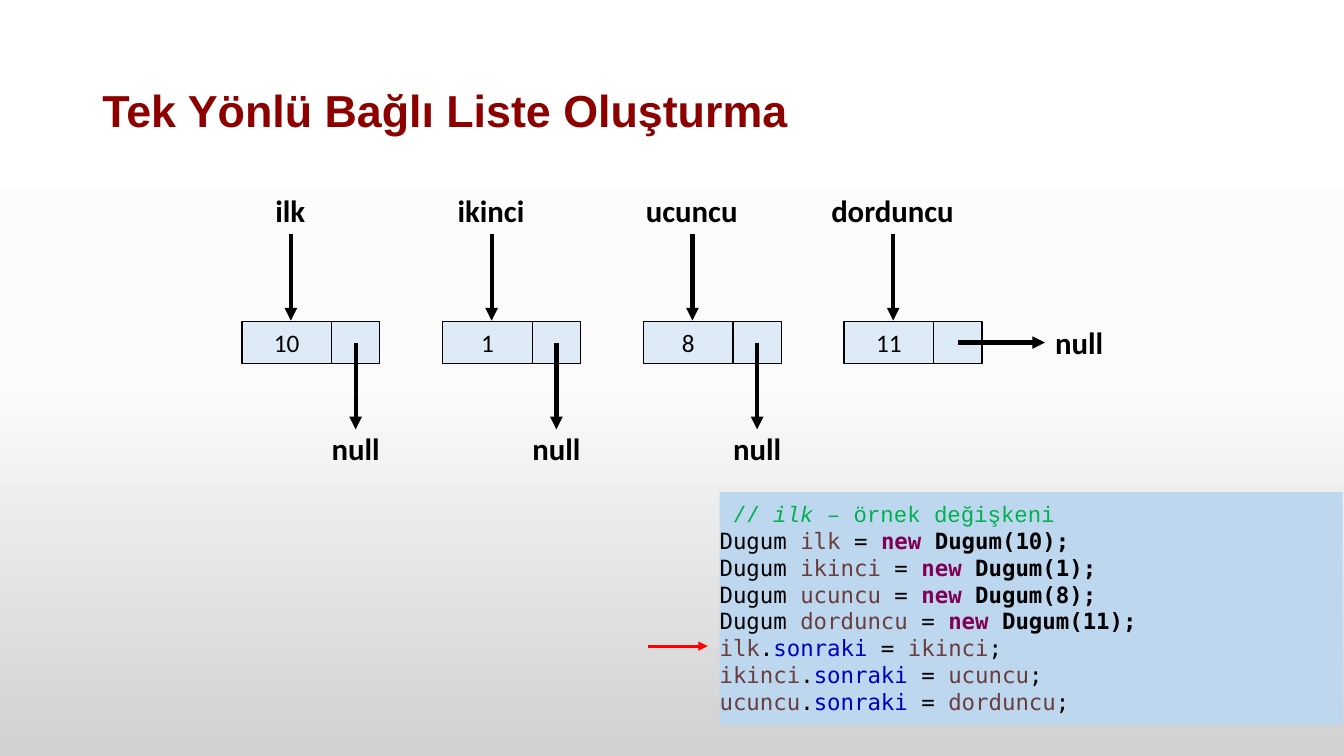
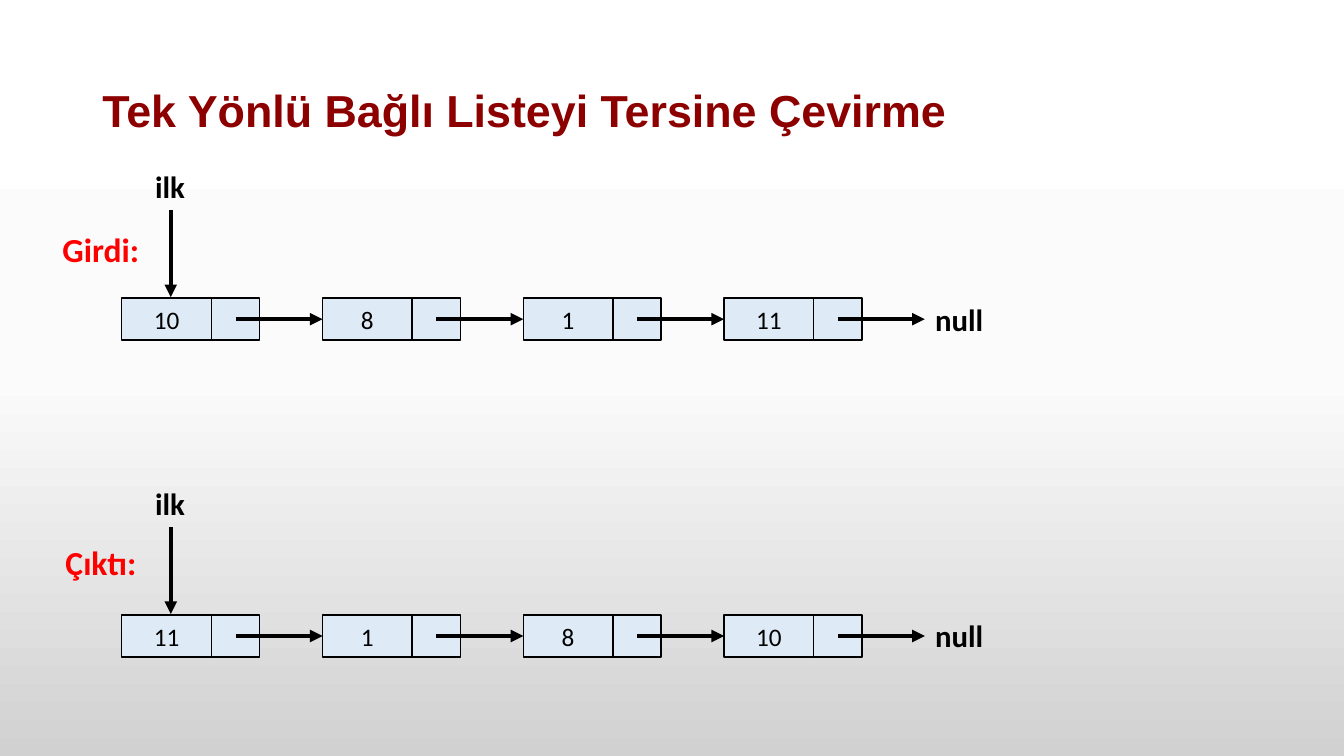
from copy import deepcopy

from lxml.etree import SubElement
from pptx import Presentation
from pptx.dml.color import RGBColor
from pptx.enum.shapes import MSO_CONNECTOR, MSO_SHAPE
from pptx.enum.text import MSO_ANCHOR, PP_ALIGN
from pptx.oxml.ns import qn
from pptx.util import Pt

BLACK, RED, TITLE = "000000", "FF0000", "8C0000"
CELL, CODE_BG = "DEEBF7", "BDD7EE"
COMMENT, VARIABLE, KEYWORD, FIELD = "00B050", "6A3E3E", "7F0055", "0000C0"
BACKGROUND = [(0, "FFFFFF"), (0.5, "FBFBFB"), (1, "D1D1D1")]

VALUE_W, POINTER_W, NODE_H = 64, 34.5, 30
PITCH = 143.4
ARROW = 62
POINTER_MID = VALUE_W + POINTER_W / 2
LABEL_H = 34
NULL_W = 49


def rgb(color):
    return RGBColor.from_string(color)


class Deck:
    def __init__(self):
        self.prs = Presentation()
        self.prs.slide_width, self.prs.slide_height = Pt(960), Pt(540)
        self.set_background()

    def set_background(self):
        """Put the grey gradient on the master, so that every slide has it."""
        master = self.prs.slide_master
        fill = master.background.fill
        fill.gradient()
        fill.gradient_angle = 270
        stops = master.element.find(".//" + qn("a:gsLst"))
        stops.append(deepcopy(stops[0]))
        for stop, (position, color) in zip(fill.gradient_stops, BACKGROUND):
            stop.position = position
            stop.color.rgb = rgb(color)

    def slide(self, title):
        self.s = self.prs.slides.add_slide(self.prs.slide_layouts[6])
        box = self.text(66, 28.8, 828, 104.4, title, 32, TITLE, "Arial",
                        wrap=True, align=PP_ALIGN.LEFT)
        box.text_frame.vertical_anchor = MSO_ANCHOR.MIDDLE
        box.text_frame.paragraphs[0].line_spacing = 0.9

    def style(self, p, size, color, name="Calibri", bold=False):
        p.font.size, p.font.name, p.font.bold = Pt(size), name, bold
        p.font.color.rgb = rgb(color)

    def text(self, x, y, w, h, text, size=22, color=BLACK, name="Calibri",
             wrap=False, align=PP_ALIGN.CENTER):
        """Add a bold one-line text box."""
        box = self.s.shapes.add_textbox(Pt(x), Pt(y), Pt(w), Pt(h))
        tf = box.text_frame
        tf.word_wrap = wrap
        p = tf.paragraphs[0]
        p.text, p.alignment = text, align
        self.style(p, size, color, name, True)
        return box

    def label(self, center, y, w, text):
        return self.text(center - w / 2, y, w, LABEL_H, text)

    def side_label(self, x, y, w, text):
        box = self.text(x, y, w, 36, text, 24, RED, align=PP_ALIGN.LEFT)
        box.text_frame.margin_left = 0

    def rect(self, x, y, w, h, fill, line=None):
        sp = self.s.shapes.add_shape(MSO_SHAPE.RECTANGLE,
                                     Pt(x), Pt(y), Pt(w), Pt(h))
        sp.shadow.inherit = False
        sp.fill.solid()
        sp.fill.fore_color.rgb = rgb(fill)
        if line:
            sp.line.color.rgb = rgb(line)
            sp.line.width = Pt(1)
        else:
            sp.line.fill.background()
        return sp

    def arrow(self, x1, y1, x2, y2, color=BLACK, width=3, end=None):
        """Draw an arrow; end is a shape to join at the middle of its left side."""
        line = self.s.shapes.add_connector(MSO_CONNECTOR.STRAIGHT,
                                           Pt(x1), Pt(y1), Pt(x2), Pt(y2))
        line.line.color.rgb = rgb(color)
        line.line.width = Pt(width)
        SubElement(line.line._get_or_add_ln(), qn("a:tailEnd"), type="triangle")
        SubElement(line._element.spPr, qn("a:effectLst"))
        if end is not None:
            line.end_connect(end, 1)

    def node(self, x, y, value):
        """Draw a value cell with its pointer cell; return the value cell."""
        cell = self.rect(x, y, VALUE_W, NODE_H, CELL, BLACK)
        cell.text_frame.vertical_anchor = MSO_ANCHOR.MIDDLE
        p = cell.text_frame.paragraphs[0]
        p.text, p.alignment = str(value), PP_ALIGN.CENTER
        self.style(p, 18, BLACK)
        self.rect(x + VALUE_W, y, POINTER_W, NODE_H, CELL, BLACK)
        return cell

    def reference(self, x, y, name, w):
        """Name the node at x, y from above."""
        self.label(x + 34.5, y - 96.5, w, name)
        self.arrow(x + 35, y - 0.7 - ARROW, x + 35, y - 0.7)

    def link(self, x, y, target):
        """Point the node at x, y to the shape on its right."""
        mid = y + NODE_H / 2
        self.arrow(x + POINTER_MID, mid, x + PITCH, mid, end=target)

    def null_right(self, x, y):
        box = self.label(x + PITCH + NULL_W / 2, y + (NODE_H - LABEL_H) / 2,
                         NULL_W, "null")
        self.link(x, y, box)

    def null_below(self, x, y):
        mid = x + POINTER_MID
        top = y + NODE_H / 2
        self.arrow(mid, top, mid, top + ARROW)
        self.label(mid, top + ARROW - 3, NULL_W, "null")

    def linked_list(self, x, y, values):
        xs = [x + i * PITCH for i in range(len(values))]
        cells = [self.node(left, y, value) for left, value in zip(xs, values)]
        for left, target in zip(xs, cells[1:]):
            self.link(left, y, target)
        self.null_right(xs[-1], y)
        self.reference(x, y, "ilk", 36)

    def code(self, x, y, w, h, lines):
        """Each line is a font name and runs of (text, colour, bold, italic)."""
        tf = self.rect(x, y, w, h, CODE_BG).text_frame
        tf.word_wrap = True
        tf.vertical_anchor = MSO_ANCHOR.TOP
        tf.margin_left = tf.margin_right = 0
        tf.margin_top = tf.margin_bottom = Pt(5.8)
        for i, (name, runs) in enumerate(lines):
            p = tf.add_paragraph() if i else tf.paragraphs[0]
            p.alignment = PP_ALIGN.LEFT
            p.font.size, p.font.name = Pt(16), name
            for text, color, bold, italic in runs:
                r = p.add_run()
                r.text = text
                r.font.color.rgb = rgb(color)
                r.font.bold, r.font.italic = bold, italic


def plain(text, color=BLACK):
    return text, color, False, False


def bold(text, color=BLACK):
    return text, color, True, False


def declaration(name, value):
    return [plain("Dugum "), plain(name, VARIABLE), plain(" = "),
            bold("new ", KEYWORD), bold(f"Dugum({value});")]


def assignment(name, following):
    return [plain(name, VARIABLE), plain("."), plain("sonraki", FIELD),
            plain(" = "), plain(following, VARIABLE), plain(";")]


def creation_slide(deck):
    deck.slide("Tek Yönlü Bağlı Liste Oluşturma")
    nodes = [("ilk", 10, 36), ("ikinci", 1, 63),
             ("ucuncu", 8, 81), ("dorduncu", 11, 103)]
    names = [name for name, _, _ in nodes]

    comment = [plain(" // ", COMMENT), ("ilk", COMMENT, False, True),
               plain(" – örnek değişkeni", COMMENT)]
    statements = [declaration(name, value) for name, value, _ in nodes]
    statements += [assignment(*pair) for pair in zip(names, names[1:])]
    lines = [("Courier New", comment)]
    lines += [("DejaVu Sans Mono", runs) for runs in statements]
    deck.code(514, 351.4, 445, 166.3, lines)
    deck.arrow(463, 461.5, 505.5, 461.5, RED, 2.25)

    y = 229.7
    for i, (name, value, w) in enumerate(nodes):
        x = 172.8 + i * PITCH
        deck.node(x, y, value)
        deck.reference(x, y, name, w)
        if i < len(nodes) - 1:
            deck.null_below(x, y)
        else:
            deck.null_right(x, y)


def reversal_slide(deck):
    deck.slide("Tek Yönlü Bağlı Listeyi Tersine Çevirme")
    deck.linked_list(87, 213, [10, 8, 1, 11])
    deck.side_label(44.6, 160, 63, "Girdi:")
    deck.linked_list(87, 439.3, [11, 1, 8, 10])
    deck.side_label(46.8, 383.8, 58, "Çıktı:")


def main():
    deck = Deck()
    creation_slide(deck)
    reversal_slide(deck)
    deck.prs.save("out.pptx")


if __name__ == "__main__":
    main()
